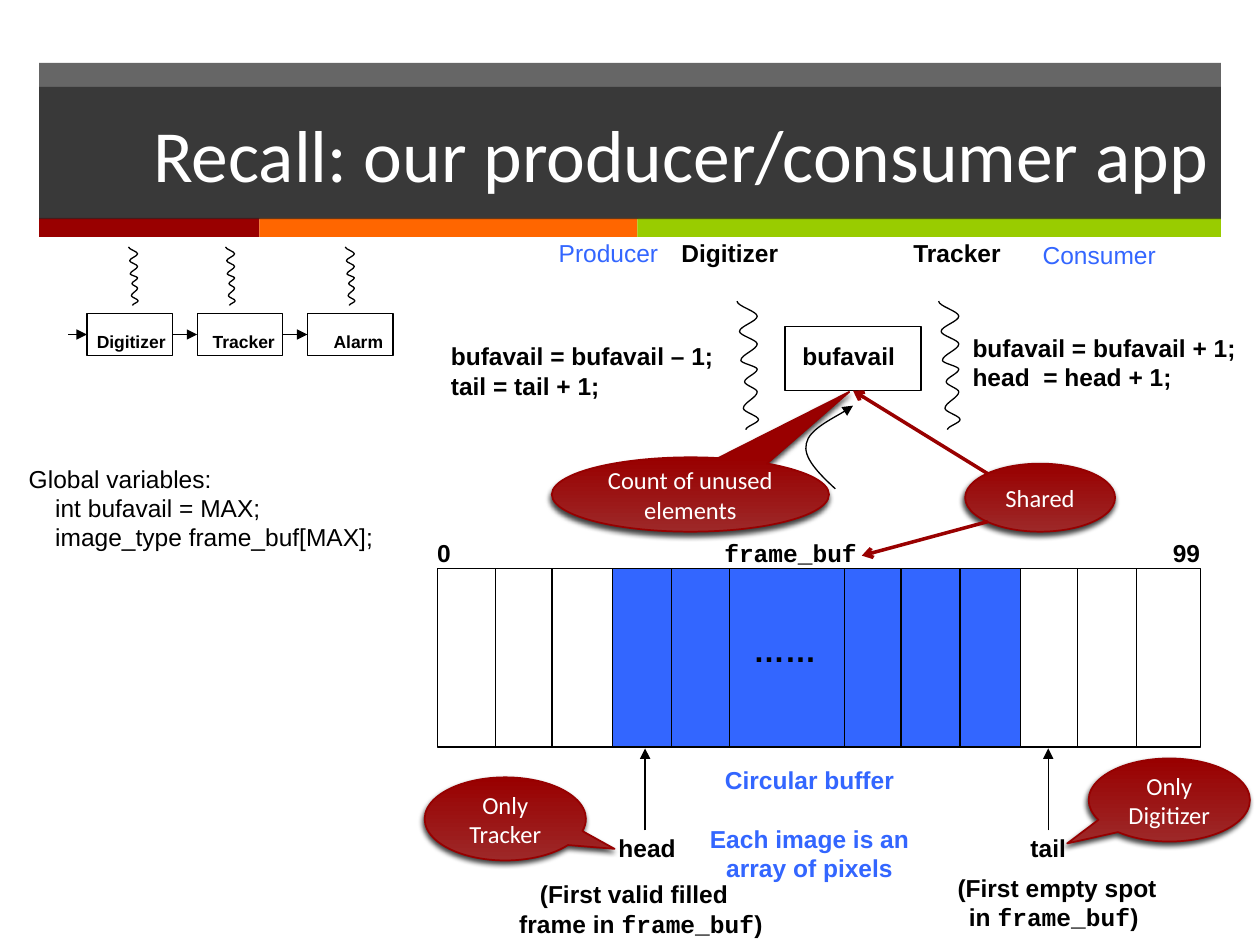
from lxml import etree
from pptx import Presentation
from pptx.dml.color import RGBColor
from pptx.enum.shapes import MSO_CONNECTOR, MSO_SHAPE
from pptx.enum.text import MSO_ANCHOR, MSO_AUTO_SIZE, PP_ALIGN
from pptx.oxml.ns import qn
from pptx.util import Inches, Pt

RECT, OVAL = MSO_SHAPE.RECTANGLE, MSO_SHAPE.OVAL
BUBBLE = MSO_SHAPE.OVAL_CALLOUT
LINE = MSO_CONNECTOR.STRAIGHT
LEFT, MID, RIGHT = PP_ALIGN.LEFT, PP_ALIGN.CENTER, PP_ALIGN.RIGHT
CENTER, FIXED = MSO_ANCHOR.MIDDLE, MSO_AUTO_SIZE.NONE

BLACK = RGBColor(0, 0, 0)
WHITE = RGBColor(255, 255, 255)
DARK = RGBColor(0x26, 0x26, 0x26)
BLUE = RGBColor(0x33, 0x66, 0xFF)
RED = RGBColor(0x99, 0, 0)
ROSE = RGBColor(0x9D, 0x28, 0x28)
EDGE = RGBColor(0x96, 0, 0)
ORANGE = RGBColor(0xFF, 0x66, 0)
GREEN = RGBColor(0x99, 0xCC, 0)

# Turning points of a thread's wavy line, in inches
TURNS = [(0, 0), (.16, .12), (.02, .24), (.16, .34), (.03, .47), (.16, .54),
         (.06, .64), (.16, .72), (.05, .85), (.17, .94), (.07, 1.02)]
# Edges of the buffer's cells; the wide one stands for many
EDGES = [3.47, 3.93, 4.38, 4.86, 5.33, 5.79, 6.7, 7.15, 7.62, 8.1, 8.55, 9.02, 9.53]
TOP, TALL = 4.51, 1.42


def sub(node, tag, **attrs):
    return etree.SubElement(node, qn(tag), **attrs)


def write(frame, lines, size=14, font="Arial", color=BLACK, bold=True,
          align=LEFT, gap=0, dent=0):
    """Fill a frame; words between backticks are set in Courier New."""
    frame.word_wrap = True
    for i, line in enumerate(lines):
        para = frame.paragraphs[0] if i == 0 else frame.add_paragraph()
        para.alignment = align
        if i and gap:
            para.space_before = Pt(gap)
        if i and dent:
            para._p.get_or_add_pPr().set("marL", str(Inches(dent)))
        for j, part in enumerate(line.split("`")):
            if part:
                run = para.add_run()
                run.text = part
                run.font.name = "Courier New" if j % 2 else font
                run.font.size, run.font.bold = Pt(size), bold
                run.font.color.rgb = color


def text(slide, at, *lines, **form):
    box = slide.shapes.add_textbox(*map(Inches, at))
    write(box.text_frame, lines, **form)


def block(slide, at, fill=None, line=BLACK, kind=RECT):
    shape = slide.shapes.add_shape(kind, *map(Inches, at))
    shape.shadow.inherit = False
    if fill is None:
        shape.fill.background()
    else:
        shape.fill.solid()
        shape.fill.fore_color.rgb = fill
    if line is None:
        shape.line.fill.background()
    else:
        shape.line.color.rgb, shape.line.width = line, Pt(.75)
    return shape


def fade(shape, share):
    color = shape._element.spPr.find(".//" + qn("a:srgbClr"))
    sub(color, "a:alpha", val=str(share * 1000))


def point(line, kind):
    sub(line.line._get_or_add_ln(), "a:tailEnd", type=kind)


def link(slide, start, end, color=BLACK, width=.75, tip=None, src=None, dst=None):
    """Draw a line; src and dst are (shape, side) pairs to join."""
    line = slide.shapes.add_connector(LINE, *map(Inches, start + end))
    line.line.color.rgb, line.line.width = color, Pt(width)
    if tip:
        point(line, tip)
    sub(line._element.spPr, "a:effectLst")
    if src:
        line.begin_connect(*src)
    if dst:
        line.end_connect(*dst)


def curve(slide, knots):
    """Draw joined cubic curves: a start, then three knots for each."""
    dots = [tuple(map(Inches, knot)) for knot in knots]
    form = slide.shapes.build_freeform(*dots[0])
    form.add_line_segments(dots[1:], close=False)
    shape = form.convert_to_shape()
    steps = list(shape._element.iter(qn("a:lnTo")))
    for i in range(0, len(steps), 3):
        bend = etree.Element(qn("a:cubicBezTo"))
        steps[i].addprevious(bend)
        for step in steps[i:i + 3]:
            bend.append(step[0])
            step.getparent().remove(step)
    shape.shadow.inherit = False
    shape.fill.background()
    shape.line.color.rgb, shape.line.width = BLACK, Pt(.75)
    return shape


def wave(slide, left, top, scale=1):
    turns = [(left + x * scale, top + y * scale) for x, y in TURNS]
    knots = turns[:1]
    for (x, y), (nx, ny) in zip(turns, turns[1:]):
        third = (ny - y) / 3
        knots += [(x, y + third), (nx, ny - third), (nx, ny)]
    curve(slide, knots)


def bubble(slide, at, words, aim=None):
    shape = block(slide, at, line=EDGE, kind=BUBBLE if aim else OVAL)
    if aim:
        shape.adjustments[0], shape.adjustments[1] = aim
    shape.line.width = Pt(1)
    shape.fill.gradient()
    shape.fill.gradient_angle = 90
    for stop, color in zip(shape.fill.gradient_stops, (ROSE, RED)):
        stop.color.rgb = color
    glow = sub(shape._element.spPr.find(qn("a:effectLst")), "a:outerShdw",
               blurRad=str(Pt(3)), dist=str(Pt(2)), dir="6600000", rotWithShape="0")
    sub(sub(glow, "a:srgbClr", val="000000"), "a:alpha", val="75000")
    shape.text_frame.vertical_anchor = CENTER
    write(shape.text_frame, [words], font="Calibri", color=WHITE, bold=False, align=MID)


def header(slide):
    fade(block(slide, (.31, .5, 9.38, 1.24), DARK, None), 70)
    left = .31
    for wide, color in ((1.75, RED), (3, ORANGE), (4.63, GREEN)):
        block(slide, (left, 1.73, wide, .15), color, None)
        left += wide
    title = slide.shapes.title
    title.left, title.top, title.width, title.height = map(Inches, (.31, .69, 9.38, 1.05))
    title.fill.solid()
    title.fill.fore_color.rgb = DARK
    fade(title, 70)
    frame = title.text_frame
    frame.auto_size, frame.vertical_anchor = FIXED, CENTER
    write(frame, ["Recall: our producer/consumer app"], size=42, font="Calibri",
          color=WHITE, bold=False, align=RIGHT)
    slide.shapes._spTree.append(title._element)  # lies over the bands


def stages(slide):
    last = None
    parts = (("Digitizer", .67, 1.02), ("Tracker", 1.59, 1.79), ("Alarm", 2.55, 2.74))
    for i, (name, label, thread) in enumerate(parts):
        left = .69 + .875 * i
        box = block(slide, (left, 2.49, .68, .33))
        text(slide, (label, 2.58, .83, .27), name, size=10)
        wave(slide, thread, 1.96, .455)
        link(slide, (left - .15, 2.655), (left, 2.655), tip="triangle",
             src=last and (last, 3), dst=(box, 1))
        last = box


def threads(slide):
    """Draw both threads and give back the box of the shared count."""
    for left in (5.85, 7.45):
        wave(slide, left, 2.39)
    text(slide, (5.31, 1.84, .99, .34), "Digitizer")
    text(slide, (7.15, 1.84, .92, .34), "Tracker")
    text(slide, (4.33, 1.84, 1, .34), "Producer", color=BLUE, bold=False, align=MID)
    text(slide, (8.16, 1.86, 1.13, .34), "Consumer", color=BLUE, bold=False, align=MID)
    text(slide, (3.48, 2.66, 2.32, .57), "bufavail = bufavail – 1;", "tail = tail + 1;")
    text(slide, (7.62, 2.59, 2.32, .57), "bufavail = bufavail + 1;", "head  = head + 1;")
    count = block(slide, (6.23, 2.59, 1.08, .51))
    text(slide, (6.27, 2.66, 1.04, .33), "bufavail")
    hook = curve(slide, [(6.63, 3.88), (6.5, 3.76), (6.37, 3.63), (6.4, 3.52),
                         (6.42, 3.41), (6.71, 3.27), (6.77, 3.22)])
    point(hook, "triangle")
    return count


def ring(slide):
    block(slide, (EDGES[3], TOP, EDGES[9] - EDGES[3], TALL), BLUE)
    block(slide, (EDGES[0], TOP, EDGES[-1] - EDGES[0], TALL))
    for x in EDGES[1:-1]:
        link(slide, (x, TOP), (x, TOP + TALL))
    text(slide, (5.88, 4.96, .75, .4), "……", size=18)
    for x, left, name in ((5.12, 4.81, "head"), (8.32, 8.08, "tail")):
        link(slide, (x, 6.59), (x, 5.94), tip="triangle")
        text(slide, (left, 6.56, .68, .34), name)
    text(slide, (3.96, 6.93, 2.2, .57), "(First valid filled ", " frame in `frame_buf`)", align=MID)
    text(slide, (7.48, 6.88, 1.82, .57), "(First empty spot", "in `frame_buf`) ", align=MID)
    for left, wide, name in ((3.37, .42, "0"), (9.21, .47, "99"), (5.65, 1.41, "`frame_buf`")):
        text(slide, (left, 4.22, wide, .33), name)
    text(slide, (5.35, 6.02, 2.15, 1.04), "Circular buffer", "Each image is an array of pixels",
         color=BLUE, align=MID, gap=17)


def notes(slide, count):
    bubble(slide, (8.64, 6.02, 1.28, .66), "Only Digitizer", (-.633, .522))
    bubble(slide, (3.37, 6.17, 1.28, .66), "Only Tracker", (.678, .36))
    bubble(slide, (7.66, 3.68, 1.19, .54), "Shared")
    link(slide, (7.84, 3.76), (6.77, 3.1), RED, 2, "arrow", dst=(count, 2))
    link(slide, (7.84, 4.14), (6.84, 4.41), RED, 2, "arrow")
    text(slide, (.13, 3.63, 3.24, 1.28), "Global variables:", "int bufavail = MAX;",
         "image_type frame_buf[MAX];", bold=False, dent=.21)
    bubble(slide, (4.38, 3.63, 2.2, .59), "Count of unused elements", (.573, -1.38))


def main():
    deck = Presentation()
    deck.slide_width, deck.slide_height = Inches(10), Inches(7.5)
    slide = deck.slides.add_slide(deck.slide_layouts[5])
    header(slide)
    stages(slide)
    count = threads(slide)
    ring(slide)
    notes(slide, count)
    deck.save("out.pptx")


if __name__ == "__main__":
    main()
